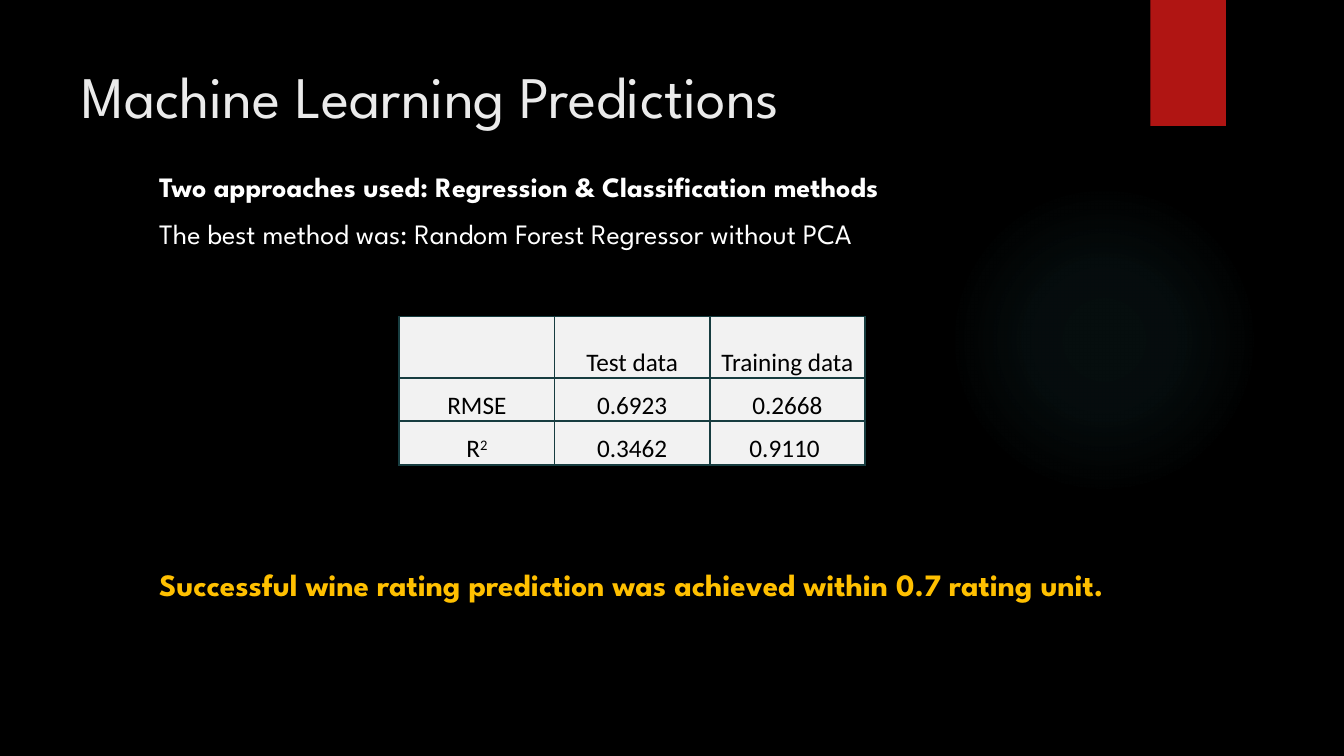
"""Builds the slide on machine learning predictions of wine ratings."""
from lxml import etree
from pptx import Presentation, util as u
from pptx.dml import color
from pptx.enum import shapes, text
from pptx.oxml import ns, parse_xml

THEME = {
    "font": "League Spartan", "table_font": "Calibri",
    "title_size": 42, "body_size": 20, "result_size": 22.2, "table_size": 18,
    "background": "000000", "title": "EBEBEB", "body": "FFFFFF",
    "result": "FFC000", "ribbon": "B01513", "glow": "50B9C1",
    "cell": "F2F2F2", "cell_text": "000000", "border": "173D40",
}

TITLE = [("Machine Learning Predictions", False)]
APPROACH = [
    ("Two approaches used: Regression & Classification methods", True),
    ("The best method was: Random Forest Regressor without PCA", False),
]
RESULT = [("Successful wine rating prediction was achieved within 0.7 rating unit.", True)]
SCORES = [
    [[], ["Test data"], ["Training data"]],
    [["RMSE"], ["0.6923"], ["0.2668"]],
    [["R", "2"], ["0.3462"], ["0.9110 "]],
]
COLUMN_WIDTH = 1.54
ROW_HEIGHTS = [0.61, 0.43, 0.43]
GLOW_STOPS = [(0, 7), (36, 6), (69, 0)]
TITLE_BOX = (0.71, 0.5, 10.29, 0.88)
APPROACH_BOX = (1.48, 1.63, 8.99, 1.64)
RESULT_BOX = (1.48, 5.56, 10.37, 0.72)


def rgb(name):
    return color.RGBColor.from_string(THEME[name])


def inches(box):
    return [u.Inches(length) for length in box]


def add_run(paragraph, words, font, size, colour, bold=False):
    run = paragraph.add_run()
    run.text = words
    run.font.name = THEME[font]
    run.font.size = u.Pt(THEME[size])
    run.font.color.rgb = rgb(colour)
    run.font.bold = bold
    return run


def add_text(slide, box, lines, size, colour, anchor=text.MSO_ANCHOR.TOP, gap=10):
    frame = slide.shapes.add_textbox(*inches(box)).text_frame
    frame.word_wrap = True
    frame.vertical_anchor = anchor
    for index, (words, bold) in enumerate(lines):
        paragraph = frame.add_paragraph() if index else frame.paragraphs[0]
        paragraph.space_before = u.Pt(gap)
        add_run(paragraph, words, "font", size, colour, bold)


def add_plain_shape(slide, kind, box, colour):
    shape = slide.shapes.add_shape(kind, *inches(box))
    shape.shadow.inherit = False
    shape.fill.solid()
    shape.fill.fore_color.rgb = rgb(colour)
    shape.line.fill.background()
    return shape


def add_glow(slide):
    glow = add_plain_shape(slide, shapes.MSO_SHAPE.OVAL, (9.41, 1.83, 3.08, 3.08), "glow")
    stops = "".join(
        f'<a:gs pos="{pos * 1000}"><a:srgbClr val="{THEME["glow"]}">'
        f'<a:alpha val="{alpha * 1000}"/></a:srgbClr></a:gs>'
        for pos, alpha in GLOW_STOPS)
    gradient = parse_xml(
        f'<a:gradFill {ns.nsdecls("a")}><a:gsLst>{stops}</a:gsLst><a:path path="circle">'
        '<a:fillToRect l="50000" t="50000" r="50000" b="50000"/></a:path></a:gradFill>')
    properties = glow.element.spPr
    properties.replace(properties.find(ns.qn("a:solidFill")), gradient)


def add_ribbon(slide):
    ribbon = add_plain_shape(slide, shapes.MSO_SHAPE.RECTANGLE, (11.41, 0, 0.75, 1.25), "ribbon")
    effects = ribbon.element.spPr.find(ns.qn("a:effectLst"))
    effects.append(parse_xml(
        f'<a:outerShdw {ns.nsdecls("a")} blurRad="{u.Pt(3)}" dist="{u.Pt(2)}" dir="5400000">'
        '<a:srgbClr val="000000"><a:alpha val="45000"/></a:srgbClr></a:outerShdw>'))


def add_borders(cell):
    properties = cell._tc.get_or_add_tcPr()
    for index, side in enumerate(("lnL", "lnR", "lnT", "lnB")):
        line = etree.Element(ns.qn(f"a:{side}"), w=str(u.Pt(1.5)))
        fill = etree.SubElement(line, ns.qn("a:solidFill"))
        etree.SubElement(fill, ns.qn("a:srgbClr"), val=THEME["border"])
        properties.insert(index, line)


def add_scores(slide):
    size = (COLUMN_WIDTH * len(SCORES[0]), sum(ROW_HEIGHTS))
    scores = slide.shapes.add_table(
        len(SCORES), len(SCORES[0]), *inches((3.96, 3.14, *size))).table
    for column in scores.columns:
        column.width = u.Inches(COLUMN_WIDTH)
    for r, (height, row) in enumerate(zip(ROW_HEIGHTS, SCORES)):
        scores.rows[r].height = u.Inches(height)
        for c, parts in enumerate(row):
            cell = scores.cell(r, c)
            cell.fill.solid()
            cell.fill.fore_color.rgb = rgb("cell")
            cell.vertical_anchor = text.MSO_ANCHOR.BOTTOM
            cell.margin_left = cell.margin_right = cell.margin_top = u.Inches(0.01)
            cell.margin_bottom = 0
            add_borders(cell)
            paragraph = cell.text_frame.paragraphs[0]
            paragraph.alignment = text.PP_ALIGN.CENTER
            for index, words in enumerate(parts):
                run = add_run(paragraph, words, "table_font", "table_size", "cell_text")
                if index:
                    run.font._element.set("baseline", "30000")


def main():
    deck = Presentation()
    deck.slide_width, deck.slide_height = inches((13.33, 7.5))
    slide = deck.slides.add_slide(deck.slide_layouts[6])
    slide.background.fill.solid()
    slide.background.fill.fore_color.rgb = rgb("background")
    add_glow(slide)
    add_ribbon(slide)
    add_text(slide, TITLE_BOX, TITLE, "title_size", "title", text.MSO_ANCHOR.MIDDLE, gap=0)
    add_text(slide, APPROACH_BOX, APPROACH, "body_size", "body")
    add_text(slide, RESULT_BOX, RESULT, "result_size", "result")
    add_scores(slide)
    deck.save("out.pptx")


if __name__ == "__main__":
    main()
